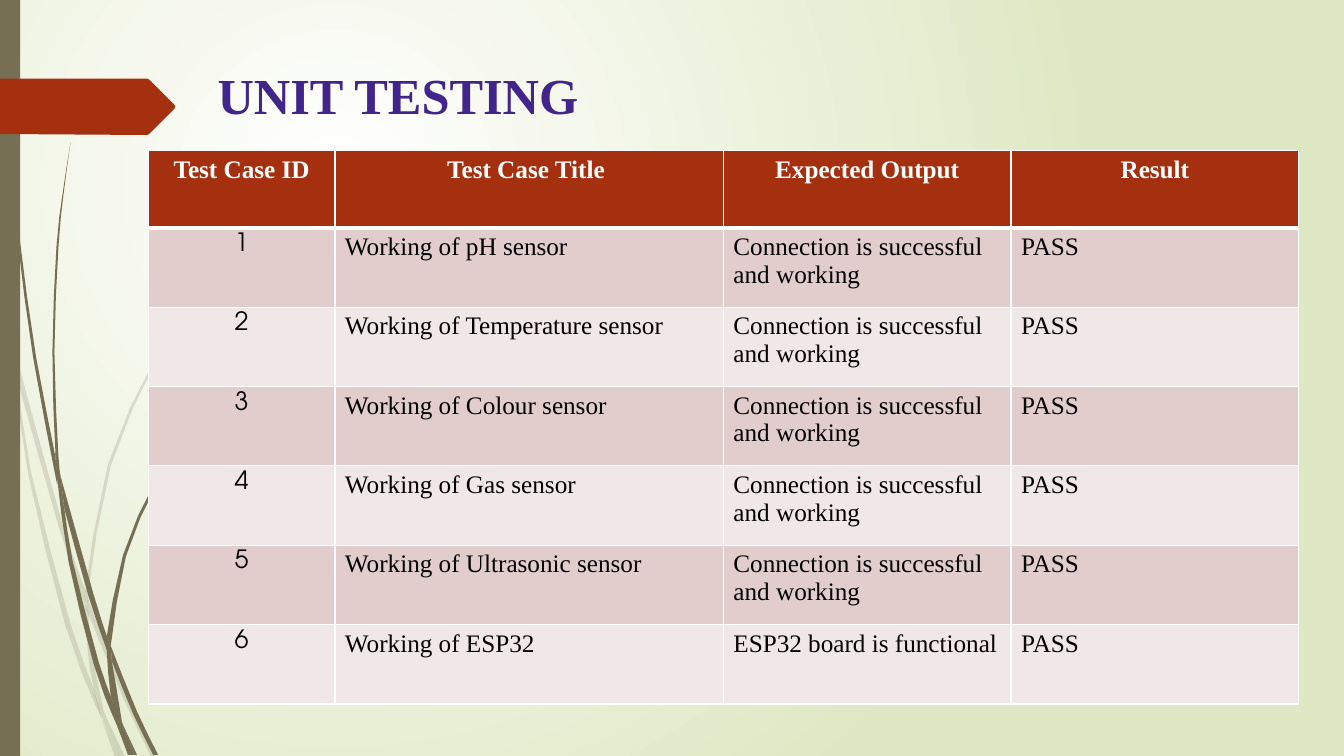
from lxml.etree import SubElement
from pptx import Presentation
from pptx.dml.color import RGBColor
from pptx.enum.shapes import MSO_SHAPE
from pptx.enum.text import MSO_ANCHOR, PP_ALIGN
from pptx.oxml.ns import qn
from pptx.util import Cm, Pt

WHITE = RGBColor(0xFF, 0xFF, 0xFF)
BLACK = RGBColor(0, 0, 0)
GREEN = RGBColor(0xDF, 0xE8, 0xC4)
OLIVE = RGBColor(0x76, 0x6F, 0x54)
RUST = RGBColor(0xA5, 0x30, 0x10)
PURPLE = RGBColor(0x42, 0x25, 0x8B)
BANDS = [RGBColor(0xE1, 0xCD, 0xCC), RGBColor(0xF0, 0xE8, 0xE7)]
SERIF = "Times New Roman"
SANS = "TeX Gyre Adventor"

TITLE = "UNIT TESTING"
HEADER = ["Test Case ID", "Test Case Title ", "Expected Output", "Result"]
CONNECTED = "Connection is successful and working"
TESTS = [
    ("Working of pH sensor", CONNECTED),
    ("Working of Temperature sensor", CONNECTED),
    ("Working of Colour sensor", CONNECTED),
    ("Working of Gas sensor", CONNECTED),
    ("Working of Ultrasonic sensor", CONNECTED),
    ("Working of ESP32", "ESP32 board is functional"),
]
ROWS = [HEADER] + [[str(n), title, output, "PASS"]
                   for n, (title, output) in enumerate(TESTS, 1)]
COL_WIDTHS = [4.7, 9.79, 7.25, 7.25]
ROW_HEIGHTS = [1.94] + [2] * len(TESTS)

UNIT = Cm(0.0254)
PALE_GRASS = [
    ([(11, 350), (9, 322), (0, 282)], [(0, 299), (10, 344), (11, 350)]),
    ([(14, 345), (62, 520), (85, 586)], [(84, 599), (58, 522), (17, 376)]),
    ([(88, 596), (127, 692), (155, 751)], [(150, 751), (123, 694), (88, 610)]),
    ([(119, 751), (124, 751)], [(105, 711), (119, 751)]),
    ([(11, 350), (17, 376), (31, 469), (70, 619), (93, 683), (101, 714)],
     [(92, 693), (65, 621), (28, 470), (11, 350)]),
    ([(84, 599), (87, 646), (93, 683), (105, 711)],
     [(103, 706), (91, 646), (88, 608)]),
    ([(88, 596), (88, 584), (110, 462), (160, 349), (229, 245), (268, 198), (312, 154)],
     [(312, 153), (268, 197), (228, 244), (158, 348), (107, 461), (85, 584), (85, 586)]),
    ([(101, 714), (114, 751)], [(119, 751), (101, 714)]),
    ([(88, 610), (88, 596)], [(85, 586), (84, 599)]),
    ([(93, 683), (99, 707), (119, 751)], [(105, 711), (96, 692)]),
]
DARK_GRASS = [
    ([(4, 0), (5, 48), (8, 109), (19, 232), (36, 355), (55, 453), (57, 481)],
     [(56, 477), (33, 355), (17, 233), (7, 110), (4, 48), (3, 0)]),
    ([(60, 472), (93, 590), (106, 631)], [(106, 645), (88, 592), (64, 505)]),
    ([(110, 641), (136, 706), (157, 749)], [(152, 749), (132, 708), (111, 656)]),
    ([(57, 477), (64, 505), (72, 556), (98, 657), (110, 691), (117, 722)],
     [(111, 708), (93, 659), (68, 557), (57, 477)]),
    ([(60, 472), (58, 453), (54, 349), (58, 245), (63, 193), (70, 141)],
     [(70, 141), (62, 193), (56, 245), (52, 349), (55, 449), (60, 472)]),
    ([(133, 749), (136, 749)], [(122, 719), (133, 749)]),
    ([(57, 477), (64, 505)], [(60, 472), (55, 449), (55, 453)]),
    ([(110, 641), (111, 633), (125, 552), (158, 476), (205, 406), (231, 374), (260, 344)],
     [(260, 344), (231, 373), (204, 405), (156, 474), (122, 551), (106, 631)]),
    ([(117, 722), (127, 749)], [(131, 749), (117, 722)]),
    ([(106, 645), (110, 691), (122, 719)], [(121, 716), (111, 656), (106, 645)]),
    ([(106, 645), (111, 656)], [(110, 641), (106, 631)]),
    ([(110, 691), (117, 722), (130, 749)], [(133, 749), (122, 719), (116, 706)]),
]
ARROW = [(0, 78), (146, 78), (148, 79), (173, 104), (174, 106),
         (173, 108), (148, 133), (146, 134), (0, 133)]


def smooth(pts):
    """Add the midpoint of a Catmull-Rom curve between neighbouring points."""
    if len(pts) < 3:
        return pts
    out = [pts[0]]
    for i in range(len(pts) - 1):
        a, b, c = pts[max(i - 1, 0)], pts[i], pts[i + 1]
        d = pts[min(i + 2, len(pts) - 1)]
        out.append(tuple((9 * (q + r) - p - t) / 16
                         for p, q, r, t in zip(a, b, c, d)))
        out.append(c)
    return out


def paint(sp, color, alpha=None):
    """Give a shape a plain fill with no line or shadow."""
    sp.shadow.inherit = False
    sp.fill.solid()
    sp.fill.fore_color.rgb = color
    sp.line.fill.background()
    if alpha:
        clr = sp.element.find(".//" + qn("a:srgbClr"))
        SubElement(clr, qn("a:alpha")).set("val", str(alpha * 1000))


def add_outline(s, pts, color, alpha=None):
    """Draw a closed outline given in UNIT lengths."""
    pts = [(x * UNIT, y * UNIT) for x, y in pts]
    fb = s.shapes.build_freeform(*pts[0])
    fb.add_line_segments(pts[1:])
    paint(fb.convert_to_shape(), color, alpha)


def add_background(s):
    """Fill the background with a round white to green gradient."""
    fill = s.background.fill
    fill.gradient()
    for stop, color, pos in zip(fill.gradient_stops, (WHITE, GREEN), (0, 1)):
        stop.color.rgb = color
        stop.position = pos
    grad = s.element.find(".//" + qn("a:gradFill"))
    grad.remove(grad.find(qn("a:lin")))
    focus = SubElement(SubElement(grad, qn("a:path"), {"path": "circle"}),
                       qn("a:fillToRect"))
    for side, val in zip("ltrb", (50, 50, 100, 100)):
        focus.set(side, str(val * 1000))


def format_text(tf, font, size, color, bold, align):
    """Format the first paragraph of a text frame."""
    p = tf.paragraphs[0]
    p.alignment = align
    f = p.runs[0].font
    f.name, f.size, f.bold = font, Pt(size), bold
    f.color.rgb = color


def format_cell(cell, row, col):
    """Set borders, fill and font of a table cell."""
    head = row == 0
    props = cell._tc.get_or_add_tcPr()
    for side in "LRTB":
        thick = (head and side == "B") or (row == 1 and side == "T")
        ln = SubElement(props, qn("a:ln" + side), {"w": str(Pt(3 if thick else 1))})
        SubElement(SubElement(ln, qn("a:solidFill")), qn("a:srgbClr")).set("val", str(WHITE))
    cell.fill.solid()
    cell.fill.fore_color.rgb = RUST if head else BANDS[(row - 1) % 2]
    format_text(cell.text_frame, SANS if col == 0 and not head else SERIF, 18,
                WHITE if head else BLACK, head,
                PP_ALIGN.CENTER if head or col == 0 else PP_ALIGN.LEFT)


def add_tests(s):
    """Add the table of test cases."""
    table = s.shapes.add_table(
        len(ROWS), len(HEADER), Cm(3.74), Cm(3.8),
        Cm(sum(COL_WIDTHS)), Cm(sum(ROW_HEIGHTS))).table
    for col, width in zip(table.columns, COL_WIDTHS):
        col.width = Cm(width)
    for row, height in zip(table.rows, ROW_HEIGHTS):
        row.height = Cm(height)
    for i, texts in enumerate(ROWS):
        for j, text in enumerate(texts):
            cell = table.cell(i, j)
            cell.text_frame.text = text
            format_cell(cell, i, j)


def main():
    """Build the unit testing slide."""
    prs = Presentation()
    prs.slide_width, prs.slide_height = Cm(33.87), Cm(19.05)
    s = prs.slides.add_slide(prs.slide_layouts[5])
    add_background(s)
    for blades, alpha in ((PALE_GRASS, 20), (DARK_GRASS, None)):
        for near, far in blades:
            add_outline(s, smooth(near) + smooth(far), OLIVE, alpha)
    paint(s.shapes.add_shape(MSO_SHAPE.RECTANGLE, 0, 0, Cm(0.51), prs.slide_height), OLIVE)
    add_outline(s, ARROW, RUST)
    add_tests(s)
    title = s.shapes.title
    title.left, title.top, title.width, title.height = Cm(5.23), Cm(1.5), Cm(13.67), Cm(1.8)
    tf = title.text_frame
    tf.text = TITLE
    tf.word_wrap = True
    tf.vertical_anchor = MSO_ANCHOR.TOP
    format_text(tf, SERIF, 36, PURPLE, True, PP_ALIGN.LEFT)
    prs.save("out.pptx")


if __name__ == "__main__":
    main()
